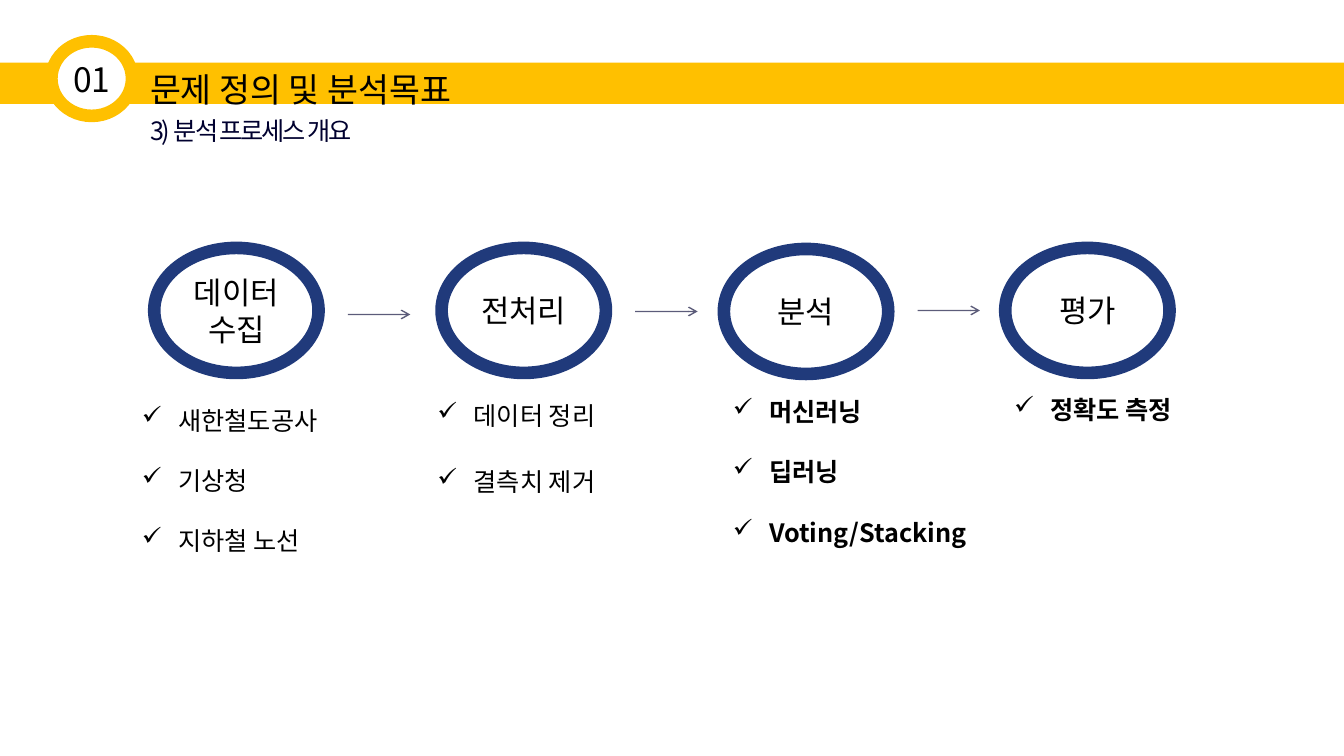
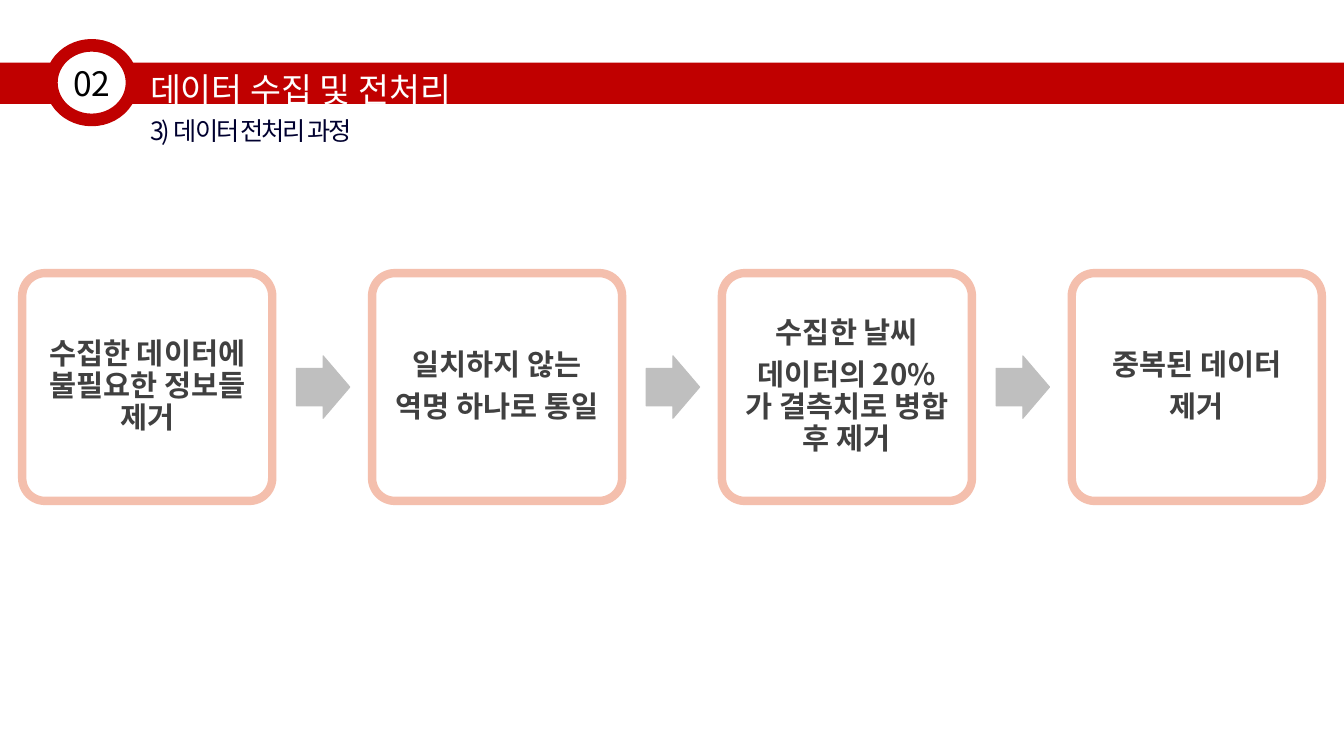
from pptx import Presentation, util as u
from pptx.dml.color import RGBColor
from pptx.enum import shapes, text
from pptx.oxml import parse_xml
from pptx.oxml.ns import nsdecls

SHAPE = shapes.MSO_SHAPE
CENTER = text.PP_ALIGN.CENTER
MIDDLE = text.MSO_ANCHOR.MIDDLE


def rgb(value):
    return RGBColor.from_string(value)


def add_xml(parent, tag, attrs=""):
    parent.append(parse_xml(f"<a:{tag} {nsdecls('a')} {attrs}/>"))


def apply(target, **values):
    for name, value in values.items():
        setattr(target, name, value)


class Deck:
    """Hold the shared style and draw elements on the current slide."""

    FONT = "Noto Sans CJK KR"
    BLACK, WHITE, NAVY = "000000", "FFFFFF", "00002F"
    STAGE, CARD, ARROW, CARD_TEXT = "203A7B", "F4BFAD", "BFBFBF", "404040"

    def __init__(self):
        self.prs = Presentation()
        apply(self.prs, slide_width=u.Inches(13.33), slide_height=u.Inches(7.5))

    def fill_text(self, sp, lines, size, color=BLACK, bold=False, align=None,
                  anchor=text.MSO_ANCHOR.TOP, inset=(0.1, 0.05), leading=1.0,
                  gap=0, tracking=0, bullet=None):
        tf = sp.text_frame
        mx, my = map(u.Inches, inset)
        apply(tf, word_wrap=True, vertical_anchor=anchor, margin_left=mx,
              margin_right=mx, margin_top=my, margin_bottom=my)
        for i, line in enumerate(lines):
            p = tf.paragraphs[0] if i == 0 else tf.add_paragraph()
            apply(p, alignment=align, line_spacing=leading,
                  space_before=u.Pt(gap if i else 0))
            if bullet:
                pPr = p._p.get_or_add_pPr()
                pPr.set("marL", str(u.Inches(0.36)))
                pPr.set("indent", str(-u.Inches(0.36)))
                add_xml(pPr, "buChar", f'char="{bullet}"')
            for j, part in enumerate(line.split("\n")):
                if j:
                    p.add_line_break()
                r = p.add_run()
                r.text = part
                apply(r.font, size=u.Pt(size), bold=bold, name=self.FONT)
                r.font.color.rgb = rgb(color)
                rPr = r._r.get_or_add_rPr()
                add_xml(rPr, "ea", f'typeface="{self.FONT}"')
                if tracking:
                    rPr.set("spc", str(int(tracking * 100)))

    def text(self, x, y, w, h, lines, size, **style):
        sp = self.s.shapes.add_textbox(*map(u.Inches, (x, y, w, h)))
        self.fill_text(sp, lines, size, **style)

    def shape(self, kind, x, y, w, h, fill, line=None, width=0, adjust=()):
        sp = self.s.shapes.add_shape(kind, *map(u.Inches, (x, y, w, h)))
        sp.shadow.inherit = False
        sp.fill.solid()
        sp.fill.fore_color.rgb = rgb(fill)
        if line:
            sp.line.color.rgb = rgb(line)
            sp.line.width = u.Pt(width)
        else:
            sp.line.fill.background()
        for i, value in enumerate(adjust):
            sp.adjustments[i] = value
        return sp

    def ring(self, x, y, w, h, color, lines, size):
        sp = self.shape(SHAPE.OVAL, x, y, w, h, self.WHITE, color, 9)
        self.fill_text(sp, lines, size, align=CENTER, anchor=MIDDLE, inset=(0, 0))

    def card(self, x, y, w, h, lines):
        sp = self.shape(SHAPE.ROUNDED_RECTANGLE, x, y, w, h, self.WHITE,
                        self.CARD, 6, (0.1,))
        self.fill_text(sp, lines, 21, color=self.CARD_TEXT, bold=True,
                       align=CENTER, anchor=MIDDLE, inset=(0.09, 0.09),
                       leading=0.9, gap=7)

    def block_arrow(self, x, y, w, h):
        self.shape(SHAPE.RIGHT_ARROW, x, y, w, h, self.ARROW, self.ARROW,
                   0.75, (0.6, 0.5))

    def line_arrow(self, x, y, length):
        c = self.s.shapes.add_connector(
            shapes.MSO_CONNECTOR.STRAIGHT,
            *map(u.Inches, (x, y, x + length, y)))
        c.line.color.rgb = rgb(self.NAVY)
        c.line.width = u.Pt(1)
        ln = c.line._get_or_add_ln()
        add_xml(ln.solidFill.srgbClr, "alpha", 'val="63000"')
        add_xml(ln, "tailEnd", 'type="arrow"')
        add_xml(c._element.spPr, "effectLst")

    def checklist(self, x, y, w, h, items, bold, gap):
        self.text(x, y, w, h, items, 18, bold=bold, anchor=MIDDLE, gap=gap,
                  bullet="✓")

    def slide(self, number, title, subtitle, band, title_color, ring_top):
        self.s = self.prs.slides.add_slide(self.prs.slide_layouts[6])
        self.shape(SHAPE.RECTANGLE, 0, 0.62, 13.33, 0.41, band)
        self.ring(0.51, ring_top, 0.8, 0.74, band, [number], 24)
        self.text(1.39, 0.43, 3.41, 0.7, [title], 24, color=title_color,
                  leading=1.5)
        self.text(1.39, 1.09, 2.2, 0.4, [subtitle], 18, color=self.NAVY,
                  tracking=-1.5)


def process_overview(deck):
    deck.slide("01", "문제 정의 및 분석목표", "3) 분석 프로세스 개요",
               "FFC000", deck.BLACK, 0.41)
    stages = [
        (1.53, 2.46, ["데이터", "수집"], 3.12),
        (4.38, 2.46, ["전처리"], 3.09),
        (7.18, 2.47, ["분석"], 3.08),
        (9.97, 2.46, ["평가"], None),
    ]
    for x, y, label, arrow_y in stages:
        deck.ring(x, y, 1.63, 1.24, deck.STAGE, label, 22)
        if arrow_y:
            deck.line_arrow(x + 1.92, arrow_y, 0.62)
    checklists = [
        (1.31, 3.84, 2.42, 1.85, ["새한철도공사", "기상청", "지하철 노선"], False, 21.5),
        (4.24, 3.9, 2.42, 1.1, ["데이터 정리", "결측치 제거"], False, 25.5),
        (7.17, 3.87, 2.64, 1.62, ["머신러닝", "딥러닝", "Voting/Stacking"], True, 21.5),
        (9.96, 3.86, 2.64, 0.41, ["정확도 측정"], True, 0),
    ]
    for checklist in checklists:
        deck.checklist(*checklist)


def preprocessing_steps(deck):
    deck.slide("02", "데이터 수집 및 전처리", "3) 데이터 전처리 과정",
               "C00000", deck.WHITE, 0.45)
    steps = [
        ["수집한 데이터에 불필요한 정보들 제거"],
        ["일치하지 않는", "역명 하나로 통일"],
        ["수집한 날씨", "데이터의 20%\n가 결측치로 병합\n후 제거"],
        ["중복된 데이터", "제거"],
    ]
    left, pitch = 0.22, 3.47
    for i, step in enumerate(steps):
        x = left + i * pitch
        deck.card(x, 2.71, 2.48, 2.26, step)
        if i < len(steps) - 1:
            deck.block_arrow(x + 2.72, 3.53, 0.53, 0.62)


def main():
    deck = Deck()
    process_overview(deck)
    preprocessing_steps(deck)
    deck.prs.save("out.pptx")


if __name__ == "__main__":
    main()
